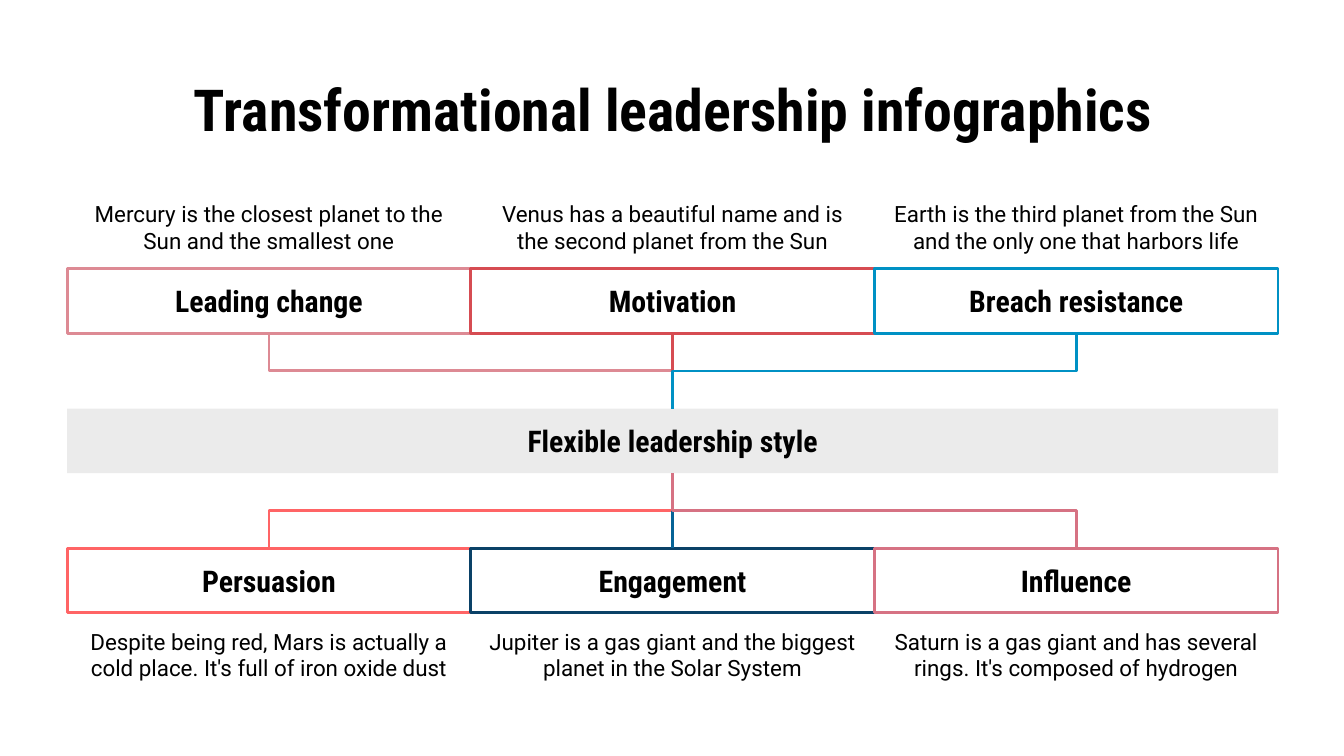
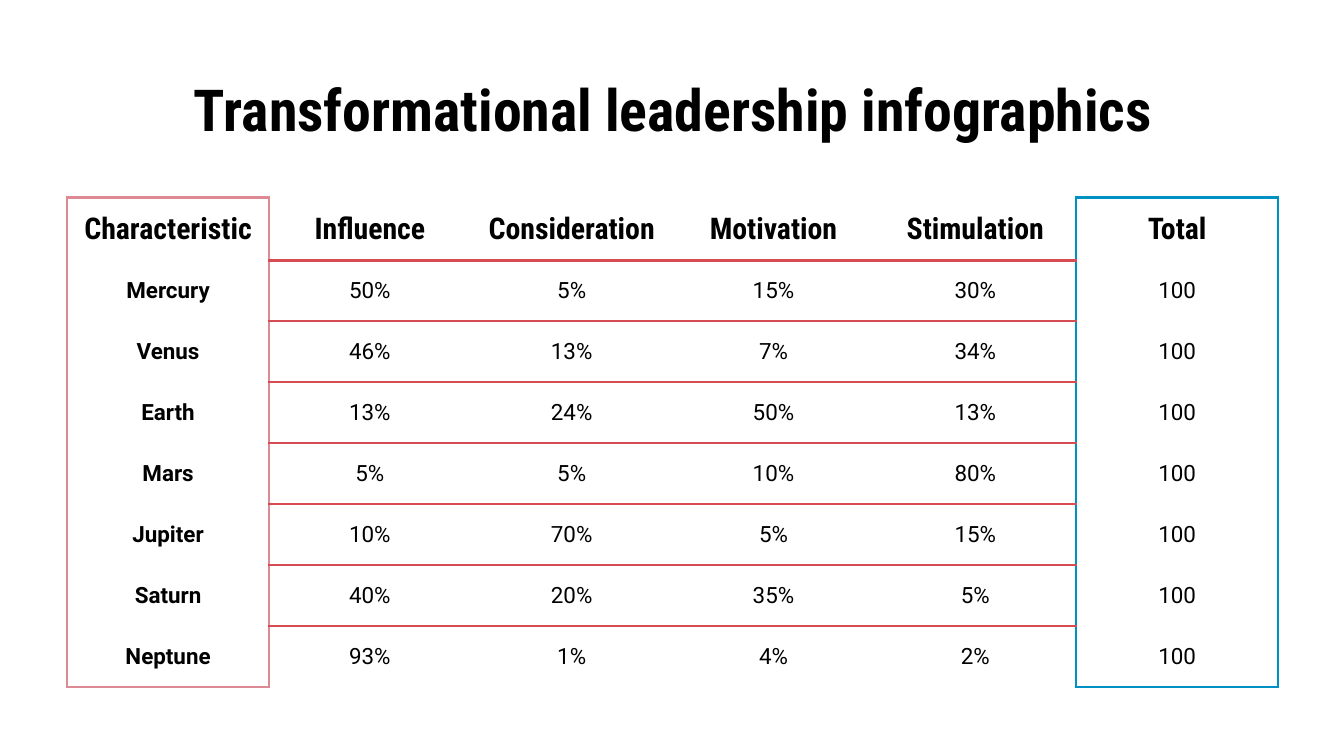
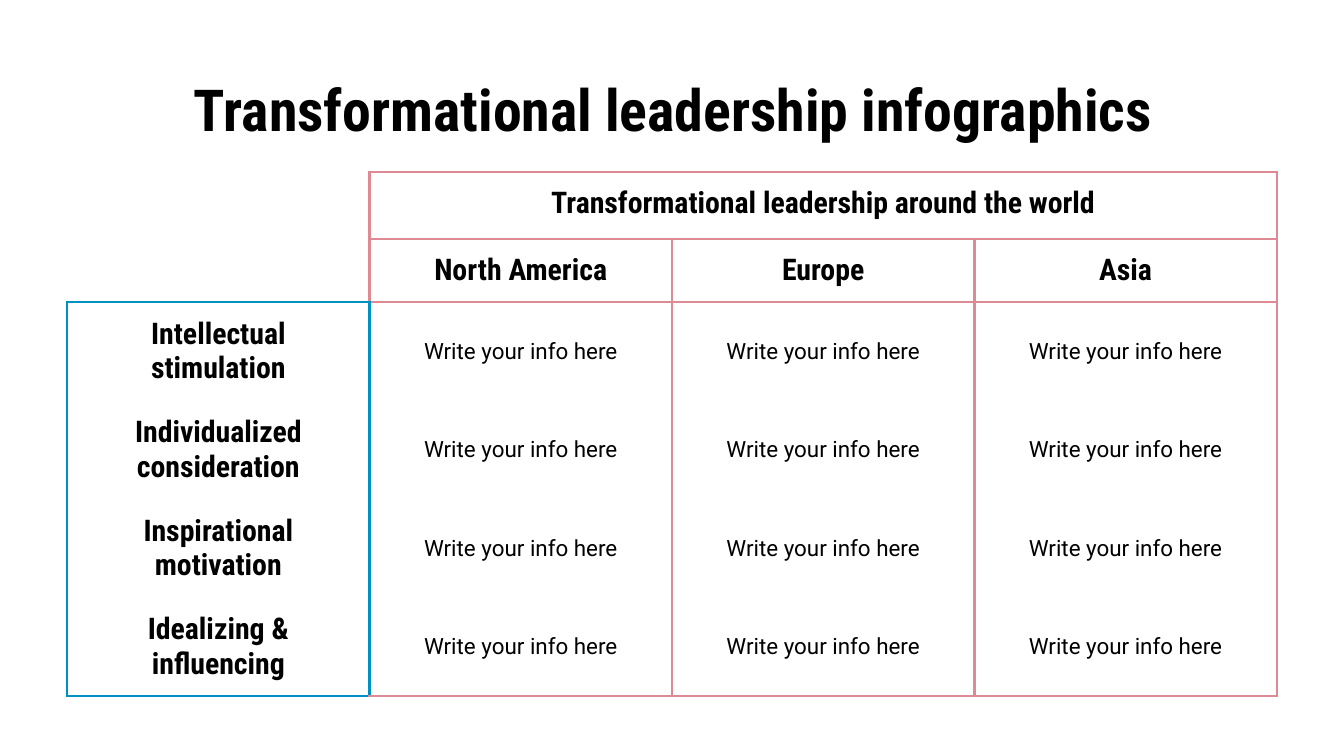
from pptx import Presentation
from pptx import util as u
from pptx.dml.color import RGBColor
from pptx.enum import shapes, text
from pptx.oxml import ns
from lxml import etree

BLACK = RGBColor(0x00, 0x00, 0x00)
ROSE = RGBColor(0xDD, 0x8A, 0x94)
RED = RGBColor(0xD6, 0x4C, 0x52)
BLUE = RGBColor(0x00, 0x91, 0xC4)
CORAL = RGBColor(0xFF, 0x64, 0x65)
NAVY = RGBColor(0x0A, 0x41, 0x67)
STEEL = RGBColor(0x06, 0x63, 0x96)
MAUVE = RGBColor(0xD6, 0x72, 0x83)

TITLE = ("Roboto Condensed", 31, True)
LABEL = ("Roboto Condensed", 16, True)
STRONG = ("Roboto", 12, True)
BODY = ("Roboto", 12, False)

HEADING = "Transformational leadership infographics"
CENTRAL_STYLE = "Flexible leadership style"
UPPER_TRAITS = [
    ("Leading change", "Mercury is the closest planet to the Sun and the smallest one", ROSE),
    ("Motivation", "Venus has a beautiful name and is the second planet from the Sun", RED),
    ("Breach resistance", "Earth is the third planet from the Sun and the only one that harbors life", BLUE),
]
LOWER_TRAITS = [
    ("Persuasion", "Despite being red, Mars is actually a cold place. It's full of iron oxide dust", CORAL),
    ("Engagement", "Jupiter is a gas giant and the biggest planet in the Solar System", NAVY),
    ("Influence", "Saturn is a gas giant and has several rings. It's composed of hydrogen", MAUVE),
]
SCORES = [
    ("Characteristic", "Influence", "Consideration", "Motivation", "Stimulation", "Total"),
    ("Mercury", "50%", "5%", "15%", "30%", "100"),
    ("Venus", "46%", "13%", "7%", "34%", "100"),
    ("Earth", "13%", "24%", "50%", "13%", "100"),
    ("Mars", "5%", "5%", "10%", "80%", "100"),
    ("Jupiter", "10%", "70%", "5%", "15%", "100"),
    ("Saturn", "40%", "20%", "35%", "5%", "100"),
    ("Neptune", "93%", "1%", "4%", "2%", "100"),
]
WORLD_HEADING = "Transformational leadership around the world"
REGIONS = ["North America", "Europe", "Asia"]
PRACTICES = [
    "Intellectual stimulation",
    "Individualized consideration",
    "Inspirational motivation",
    "Idealizing & influencing",
]
PROMPT = "Write your info here"

SLIDE_WIDTH = 10
SLIDE_HEIGHT = SLIDE_WIDTH * 9 / 16
MARGIN, CONTENT_WIDTH = 0.5, 9.01
COLUMN = CONTENT_WIDTH / 3
BAR_HEIGHT, NOTE_HEIGHT = 0.48, 0.62
UPPER_TOP, BAR_PITCH = 2, 1.04
CENTRAL_TOP = UPPER_TOP + BAR_PITCH
LOWER_TOP = CENTRAL_TOP + BAR_PITCH
LINE_WIDTH = u.Pt(1.5)
PLAIN_TABLE = "{2D5ABB26-0587-4C30-8999-92F81FD0307C}"


def write(frame, words, style):
    font, size, bold = style
    para = frame.paragraphs[0]
    para.alignment = text.PP_ALIGN.CENTER
    span = para.add_run()
    span.text = words
    span.font.name, span.font.size, span.font.bold = font, u.Pt(size), bold
    span.font.color.rgb = BLACK


def fill_frame(box, words, style, anchor):
    frame = box.text_frame
    frame.word_wrap = True
    frame.vertical_anchor = anchor
    frame.margin_left = frame.margin_right = u.Inches(0.1)
    frame.margin_top = frame.margin_bottom = u.Inches(0.1)
    write(frame, words, style)


def add_text(page, left, top, width, height, words, style, anchor=text.MSO_ANCHOR.MIDDLE):
    box = page.shapes.add_textbox(*map(u.Inches, (left, top, width, height)))
    fill_frame(box, words, style, anchor)


def add_bar(page, left, top, width, words):
    bar = page.shapes.add_shape(
        shapes.MSO_SHAPE.RECTANGLE, *map(u.Inches, (left, top, width, BAR_HEIGHT)))
    bar.shadow.inherit = False
    fill_frame(bar, words, LABEL, text.MSO_ANCHOR.MIDDLE)
    return bar


def add_trait(page, column, bar_top, note_top, trait):
    label, note, color = trait
    left = MARGIN + column * COLUMN
    add_text(page, left, note_top, COLUMN, NOTE_HEIGHT, note, BODY)
    bar = add_bar(page, left, bar_top, COLUMN, label)
    bar.fill.background()
    bar.line.color.rgb, bar.line.width = color, LINE_WIDTH


def add_line(page, kind, ends, color):
    line = page.shapes.add_connector(kind, *map(u.Inches, ends))
    line.line.color.rgb, line.line.width = color, LINE_WIDTH
    etree.SubElement(line._element.spPr, ns.qn("a:effectLst"))
    return line


def add_elbow(page, left, right, start, end, color):
    drop, reach = abs(end - start), right - left
    middle_x, middle_y = (left + right) / 2, (start + end) / 2
    ends = (middle_x - drop / 2, middle_y - reach / 2, middle_x + drop / 2, middle_y + reach / 2)
    elbow = add_line(page, shapes.MSO_CONNECTOR.ELBOW, ends, color)
    turn = elbow._element.spPr.find(ns.qn("a:xfrm"))
    turn.set("rot", "16200000")
    if end > start:
        turn.set("flipH", "1")


def add_page(deck):
    page = deck.slides.add_slide(deck.slide_layouts[6])
    add_text(page, MARGIN, 0.45, CONTENT_WIDTH, 0.62, HEADING, TITLE, text.MSO_ANCHOR.TOP)
    return page


def add_grid(page, top, width, heights, columns):
    holder = page.shapes.add_table(
        len(heights), columns, *map(u.Inches, (MARGIN, top, width, sum(heights))))
    table = holder.table
    table.first_row = table.horz_banding = False
    table._tbl.tblPr.find(ns.qn("a:tableStyleId")).text = PLAIN_TABLE
    for row, height in zip(table.rows, heights):
        row.height = u.Inches(height)
    for column in table.columns:
        column.width = u.Inches(width / columns)
    return table


def fill_cell(cell, words, style, anchor=text.MSO_ANCHOR.MIDDLE):
    cell.vertical_anchor = anchor
    cell.margin_left = cell.margin_right = u.Inches(0.1)
    cell.margin_top = cell.margin_bottom = u.Inches(0.1)
    write(cell.text_frame, words, style)


def outline(edges, rows, columns, color, sides="LRTB"):
    for row in rows:
        for side, column, step, twin in (("L", columns[0], -1, "R"), ("R", columns[-1], 1, "L")):
            if side in sides:
                edges[row, column, side] = edges[row, column + step, twin] = color
    for column in columns:
        for side, row, step, twin in (("T", rows[0], -1, "B"), ("B", rows[-1], 1, "T")):
            if side in sides:
                edges[row, column, side] = edges[row + step, column, twin] = color


def draw_edges(table, edges):
    for row in range(len(table.rows)):
        for column in range(len(table.columns)):
            cell = table.cell(row, column)
            for side in "LRTB":
                color = edges.get((row, column, side))
                edge = etree.SubElement(
                    cell._tc.get_or_add_tcPr(), ns.qn("a:ln" + side), w=str(LINE_WIDTH))
                if color is None:
                    etree.SubElement(edge, ns.qn("a:noFill"))
                else:
                    paint = etree.SubElement(edge, ns.qn("a:solidFill"))
                    etree.SubElement(paint, ns.qn("a:srgbClr"), val=str(color))
            cell.fill.background()


def build_diagram(deck):
    page = add_page(deck)
    for column, trait in enumerate(UPPER_TRAITS):
        add_trait(page, column, UPPER_TOP, UPPER_TOP - NOTE_HEIGHT, trait)
    for column, trait in enumerate(LOWER_TRAITS):
        add_trait(page, column, LOWER_TOP, LOWER_TOP + BAR_HEIGHT, trait)

    central = add_bar(page, MARGIN, CENTRAL_TOP, CONTENT_WIDTH, CENTRAL_STYLE)
    central.fill.solid()
    central.fill.fore_color.rgb = BLACK
    tint = central._element.spPr.find(".//" + ns.qn("a:srgbClr"))
    etree.SubElement(tint, ns.qn("a:alpha"), val="8000")
    central.line.fill.background()

    first, middle, last = [MARGIN + (column + 0.5) * COLUMN for column in range(3)]
    upper_end = UPPER_TOP + BAR_HEIGHT
    central_end = CENTRAL_TOP + BAR_HEIGHT
    add_elbow(page, first, middle, upper_end, CENTRAL_TOP, ROSE)
    add_elbow(page, first, middle, LOWER_TOP, central_end, CORAL)
    add_elbow(page, middle, middle, upper_end, CENTRAL_TOP, RED)
    add_line(page, shapes.MSO_CONNECTOR.STRAIGHT, (middle, LOWER_TOP, middle, central_end), STEEL)
    add_elbow(page, middle, last, CENTRAL_TOP, upper_end, BLUE)
    add_elbow(page, middle, last, central_end, LOWER_TOP, MAUVE)


def build_scores(deck):
    count, columns = len(SCORES), len(SCORES[0])
    table = add_grid(add_page(deck), 1.47, CONTENT_WIDTH, [3.63 / count] * count, columns)
    for row, values in enumerate(SCORES):
        for column, value in enumerate(values):
            style = LABEL if row == 0 else STRONG if column == 0 else BODY
            fill_cell(table.cell(row, column), value, style)
    edges = {}
    for row in range(1, count - 1):
        outline(edges, [row], range(1, columns - 1), RED, "TB")
    outline(edges, range(count), [0], ROSE)
    outline(edges, range(count), [columns - 1], BLUE)
    draw_edges(table, edges)


def build_regions(deck):
    heights = [0.5] + [0.43] * (len(PRACTICES) + 1)
    table = add_grid(add_page(deck), 1.28, 9, heights, len(REGIONS) + 1)
    table.cell(0, 1).merge(table.cell(0, len(REGIONS)))
    fill_cell(table.cell(0, 1), WORLD_HEADING, LABEL, text.MSO_ANCHOR.TOP)
    body_rows = range(2, len(heights))
    edges = {}
    for row, practice in zip(body_rows, PRACTICES):
        fill_cell(table.cell(row, 0), practice, LABEL)
    for column, region in enumerate(REGIONS, 1):
        fill_cell(table.cell(1, column), region, LABEL, text.MSO_ANCHOR.TOP)
        for row in body_rows:
            fill_cell(table.cell(row, column), PROMPT, BODY)
        for rows in ([0], [1], body_rows):
            outline(edges, rows, [column], ROSE)
    outline(edges, body_rows, [0], BLUE)
    draw_edges(table, edges)


def main():
    deck = Presentation()
    deck.slide_width, deck.slide_height = u.Inches(SLIDE_WIDTH), u.Inches(SLIDE_HEIGHT)
    build_diagram(deck)
    build_scores(deck)
    build_regions(deck)
    deck.save("out.pptx")


if __name__ == "__main__":
    main()
